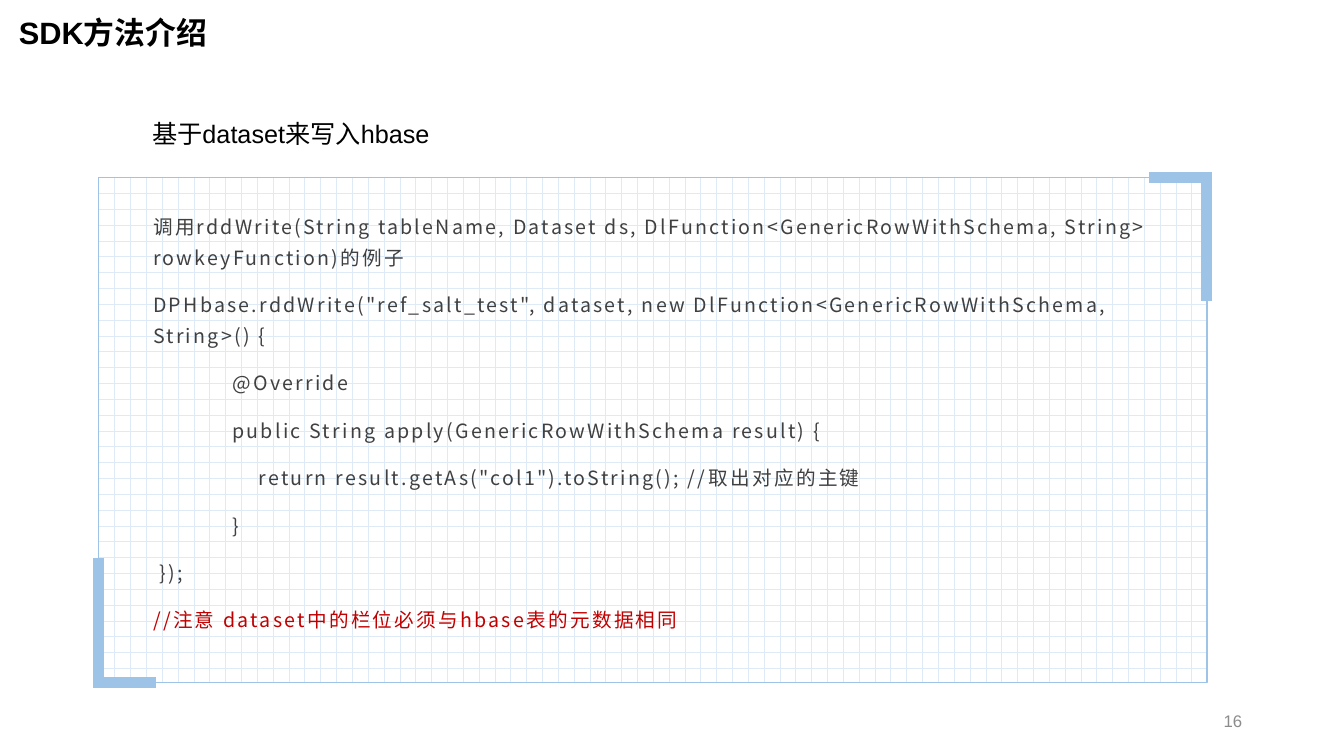
"""Build the slide that shows how a dataset is written to hbase."""
import pptx
import pptx.dml.color
import pptx.enum.dml
import pptx.enum.shapes
import pptx.enum.text
import pptx.oxml.ns
import pptx.util
from lxml import etree

Inches = pptx.util.Inches
Pt = pptx.util.Pt
RGBColor = pptx.dml.color.RGBColor
Align = pptx.enum.text.PP_ALIGN
Anchor = pptx.enum.text.MSO_ANCHOR
qn = pptx.oxml.ns.qn

BLACK = RGBColor(0x00, 0x00, 0x00)
WHITE = RGBColor(0xFF, 0xFF, 0xFF)
GRAY = RGBColor(0x8C, 0x8C, 0x8C)
DARK = RGBColor(0x40, 0x40, 0x40)
RED = RGBColor(0xC0, 0x00, 0x00)
BLUE = RGBColor(0x9D, 0xC3, 0xE6)
PALE_BLUE = RGBColor(0xDE, 0xEB, 0xF7)

LATIN_FONT = "Arial"
CODE_FONT = "Noto Sans CJK SC"

TITLE = "SDK方法介绍"
SUBTITLE = "基于dataset来写入hbase"
PAGE_NUMBER = "16"
CODE_LINES = [
    "调用rddWrite(String tableName, Dataset ds, DlFunction<GenericRowWithSchema, String> rowkeyFunction)的例子",
    "DPHbase.rddWrite(\"ref_salt_test\", dataset, new DlFunction<GenericRowWithSchema, String>() {",
    "            @Override",
    "            public String apply(GenericRowWithSchema result) {",
    "                return result.getAs(\"col1\").toString(); //取出对应的主键",
    "            }",
    " });",
    "//注意 dataset中的栏位必须与hbase表的元数据相同",
]

PANEL = (0.98, 1.76, 10.99, 5.01)
BRACKET_WIDTH, BRACKET_HEIGHT = 0.57, 1.23


def add_text(page, place, lines, size, color, font=LATIN_FONT, bold=False,
             align=Align.LEFT, anchor=Anchor.TOP):
    box = page.shapes.add_textbox(*map(Inches, place))
    frame = box.text_frame
    frame.word_wrap = True
    frame.vertical_anchor = anchor
    frame.text = "\n".join(lines)
    for para in frame.paragraphs:
        para.alignment = align
        for span in para.runs:
            span.font.size = Pt(size)
            span.font.bold = bold
            span.font.name = font
            span.font.color.rgb = color
            east_asian = etree.SubElement(span.font._element, qn("a:ea"))
            east_asian.set("typeface", CODE_FONT)
    return frame


def add_panel(page):
    panel = page.shapes.add_shape(
        pptx.enum.shapes.MSO_SHAPE.RECTANGLE, *map(Inches, PANEL))
    panel.shadow.inherit = False
    panel.fill.patterned()
    panel.fill.pattern = pptx.enum.dml.MSO_PATTERN.DOTTED_GRID
    panel.fill.fore_color.rgb = PALE_BLUE
    panel.fill.back_color.rgb = WHITE
    panel.line.color.rgb = BLUE
    panel.line.width = Pt(1)


def add_bracket(page, x, y, across, down):
    left, top, right, bottom = map(Inches, (x, y, x + across, y + down))
    builder = page.shapes.build_freeform(left, bottom)
    builder.add_line_segments([(left, top), (right, top)], close=False)
    bracket = builder.convert_to_shape()
    bracket.shadow.inherit = False
    bracket.fill.background()
    bracket.line.color.rgb = BLUE
    bracket.line.width = Pt(8)
    miter = etree.SubElement(bracket.line._get_or_add_ln(), qn("a:miter"))
    miter.set("lim", "800000")


def add_code(page):
    frame = add_text(page, (1.41, 2.06, 10.13, 4.24), CODE_LINES, 14, DARK, CODE_FONT)
    frame.margin_left, frame.margin_right = Inches(0.11), Inches(0.09)
    frame.margin_top = frame.margin_bottom = 0
    for index, para in enumerate(frame.paragraphs):
        para.line_spacing = Pt(21.9)
        para.space_before = Pt(12 if index else 0)
        for span in para.runs:
            span.font._element.set("spc", "160")
    for span in frame.paragraphs[-1].runs:
        span.font.color.rgb = RED


def main():
    deck = pptx.Presentation()
    deck.slide_width, deck.slide_height = Inches(13.33), Inches(7.5)
    page = deck.slides.add_slide(deck.slide_layouts[6])
    title = add_text(page, (0.09, 0, 11.5, 0.68), [TITLE], 22, BLACK,
                     bold=True, anchor=Anchor.MIDDLE)
    title.paragraphs[0].line_spacing = 0.9
    add_text(page, (9.42, 6.95, 3, 0.4), [PAGE_NUMBER], 12, GRAY,
             align=Align.RIGHT, anchor=Anchor.MIDDLE)
    add_panel(page)
    left, top, width, height = PANEL
    add_bracket(page, left, top + height, BRACKET_WIDTH, -BRACKET_HEIGHT)
    add_bracket(page, left + width, top, -BRACKET_WIDTH, BRACKET_HEIGHT)
    add_code(page)
    add_text(page, (1.41, 1.12, 9.58, 0.4), [SUBTITLE], 18, BLACK)
    deck.save("out.pptx")


if __name__ == "__main__":
    main()
